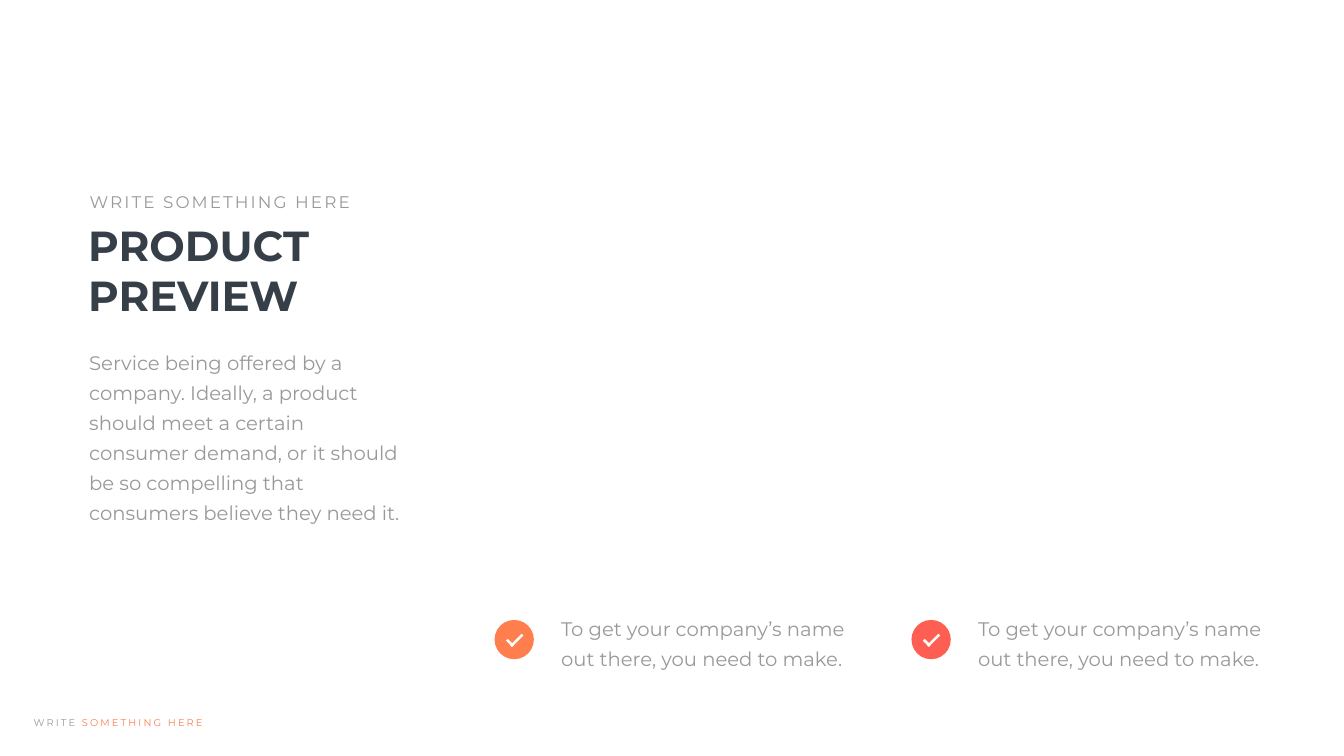
from pptx import Presentation
from pptx.dml.color import RGBColor
from pptx.enum.shapes import MSO_SHAPE
from pptx.enum.text import MSO_ANCHOR, MSO_AUTO_SIZE, PP_ALIGN
from pptx.util import Emu, Pt

OVAL, RECTANGLE = MSO_SHAPE.OVAL, MSO_SHAPE.RECTANGLE
TOP, LEFT = MSO_ANCHOR.TOP, PP_ALIGN.LEFT
FIT_SHAPE = MSO_AUTO_SIZE.SHAPE_TO_FIT_TEXT

EMU_PER_PX = 9144  # 100 px to the inch
FONT = "Montserrat"
DARK, GREY, WHITE = "363E48", "999999", "FFFFFF"
ORANGE, RED = "FE7E4E", "FE5F52"


def px(length):
    return Emu(length * EMU_PER_PX)


def color(hex_string):
    return RGBColor.from_string(hex_string)


class SlideBuilder:
    def __init__(self, presentation):
        self.slide = presentation.slides.add_slide(presentation.slide_layouts[5])
        background = self.slide.background.fill
        background.solid()
        background.fore_color.rgb = color(WHITE)

    def format_run(self, run, size, hex_color, bold=False, tracking=0):
        run.font.name = FONT
        run.font.size = Pt(size)
        run.font.bold = bold
        run.font.color.rgb = color(hex_color)
        if tracking:
            run.font._element.set("spc", str(tracking * 100))

    def format_frame(self, text_frame, wrap=True, inset=(10, 5)):
        text_frame.word_wrap = wrap
        text_frame.auto_size = FIT_SHAPE
        text_frame.vertical_anchor = TOP
        text_frame.margin_left = text_frame.margin_right = px(inset[0])
        text_frame.margin_top = text_frame.margin_bottom = px(inset[1])

    def title(self, text, left, top, width, height):
        title = self.slide.shapes.title
        title.left, title.top = px(left), px(top)
        title.width, title.height = px(width), px(height)
        self.format_frame(title.text_frame)
        title.text_frame.text = text
        paragraph = title.text_frame.paragraphs[0]
        paragraph.alignment = LEFT
        self.format_run(paragraph.runs[0], 60, DARK, bold=True)

    def text_box(self, left, top, width, height):
        box = self.slide.shapes.add_textbox(px(left), px(top), px(width), px(height))
        return box.text_frame

    def body(self, text, left, top, width, height):
        text_frame = self.text_box(left, top, width, height)
        self.format_frame(text_frame, inset=(24, 12))
        text_frame.text = text
        paragraph = text_frame.paragraphs[0]
        paragraph.line_spacing = Pt(43)
        self.format_run(paragraph.runs[0], 28, GREY)

    def label(self, parts, size, left, top, width, height):
        """One spaced-out line made of (text, colour) parts."""
        text_frame = self.text_box(left, top, width, height)
        self.format_frame(text_frame, wrap=False)
        for text, hex_color in parts:
            run = text_frame.paragraphs[0].add_run()
            run.text = text
            self.format_run(run, size, hex_color, tracking=3)

    def shape(self, shapes, kind, hex_color, left, top, width, height, rotation=0):
        shape = shapes.add_shape(kind, px(left), px(top), px(width), px(height))
        shape.shadow.inherit = False
        shape.fill.solid()
        shape.fill.fore_color.rgb = color(hex_color)
        shape.line.fill.background()
        shape.rotation = rotation

    def check_badge(self, hex_color, left, top):
        shapes = self.slide.shapes
        self.shape(shapes, OVAL, hex_color, left, top, 78, 78)
        tick = shapes.add_group_shape().shapes
        self.shape(tick, RECTANGLE, WHITE, left + 22, top + 43, 17, 5, 45)
        self.shape(tick, RECTANGLE, WHITE, left + 28, top + 38, 32, 5, 315)


def main():
    presentation = Presentation()
    presentation.slide_width, presentation.slide_height = px(2666), px(1500)
    builder = SlideBuilder(presentation)

    # Heading and introduction
    builder.title("PRODUCT PREVIEW", 165, 430, 635, 212)
    builder.label([("WRITE SOMETHING HERE", GREY)], 24, 168, 375, 546, 50)
    builder.body(
        "Service being offered by a company. Ideally, a product should meet a "
        "certain consumer demand, or it should be so compelling that consumers "
        "believe they need it.", 153, 671, 674, 380)

    # Checked points
    for index, hex_color in enumerate((ORANGE, RED)):
        left = 981 + index * 827
        builder.body("To get your company’s name out there, you need to make.",
                     left + 108, 1198, 638, 139)
        builder.check_badge(hex_color, left, 1230)

    # Footer
    builder.label([("WRITE ", GREY), ("SOMETHING HERE", ORANGE)],
                  14, 57, 1418, 361, 34)

    presentation.save("out.pptx")


if __name__ == "__main__":
    main()
